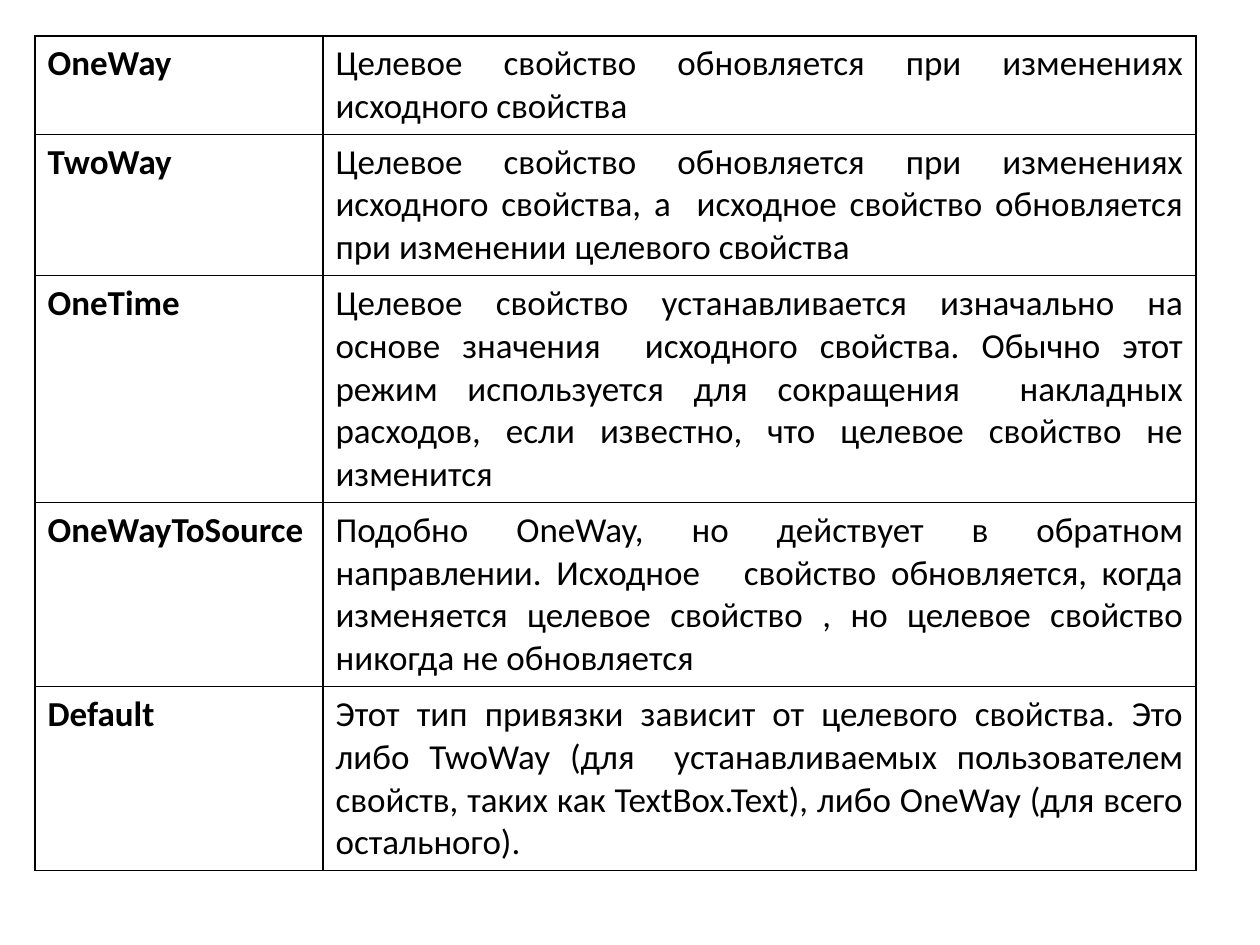
from lxml.etree import SubElement
from pptx import Presentation
from pptx.dml.color import RGBColor
from pptx.enum.text import PP_ALIGN
from pptx.oxml.ns import qn
from pptx.util import Pt

PX = 914400 / 126
COLORS = {"ink": "000000"}
LINE = 1
MODES = [
    ("OneWay", 2, "Целевое свойство обновляется при изменениях исходного свойства"),
    ("TwoWay", 3, "Целевое свойство обновляется при изменениях исходного свойства, "
     "а  исходное свойство обновляется при изменении целевого свойства"),
    ("OneTime", 5, "Целевое свойство устанавливается изначально на основе значения  "
     "исходного свойства. Обычно этот режим используется для сокращения  накладных "
     "расходов, если известно, что целевое свойство не изменится"),
    ("OneWayToSource", 4, "Подобно OneWay, но действует в обратном направлении. "
     "Исходное   свойство обновляется, когда изменяется целевое свойство , "
     "но целевое свойство никогда не обновляется"),
    ("Default", 4, "Этот тип привязки зависит от целевого свойства. Это либо TwoWay "
     "(для  устанавливаемых пользователем свойств, таких как TextBox.Text), "
     "либо OneWay (для всего остального)."),
]


def px(n):
    return round(n * PX)


def write(cell, text, size=20, bold=False, align=PP_ALIGN.LEFT, color="ink"):
    para = cell.text_frame.paragraphs[0]
    para.alignment = align
    run = para.add_run()
    run.text = text
    run.font.name = "Calibri"
    run.font.size = Pt(size)
    run.font.bold = bold
    run.font.color.rgb = RGBColor.from_string(COLORS[color])


deck = Presentation()
deck.slide_width, deck.slide_height = px(1260), px(945)
slide = deck.slides.add_slide(deck.slide_layouts[6])

heights = [43 * lines + 11 for _, lines, _ in MODES]
frame = slide.shapes.add_table(len(MODES), 2, px(35), px(36), px(1161), px(sum(heights)))
table = frame.table
table.first_row = table.horz_banding = False
for col, width in zip(table.columns, (288, 873)):
    col.width = px(width)

for row, height, (mode, _, about) in zip(table.rows, heights, MODES):
    row.height = px(height)
    name, note = row.cells
    write(name, mode, bold=True)
    write(note, about, align=PP_ALIGN.JUSTIFY)
    for cell in (name, note):
        props = cell._tc.get_or_add_tcPr()
        for side in ("lnL", "lnR", "lnT", "lnB"):
            edge = SubElement(props, qn(f"a:{side}"), w=str(Pt(LINE)))
            fill = SubElement(edge, qn("a:solidFill"))
            SubElement(fill, qn("a:srgbClr"), val=COLORS["ink"])
        cell.fill.background()

deck.save("out.pptx")
